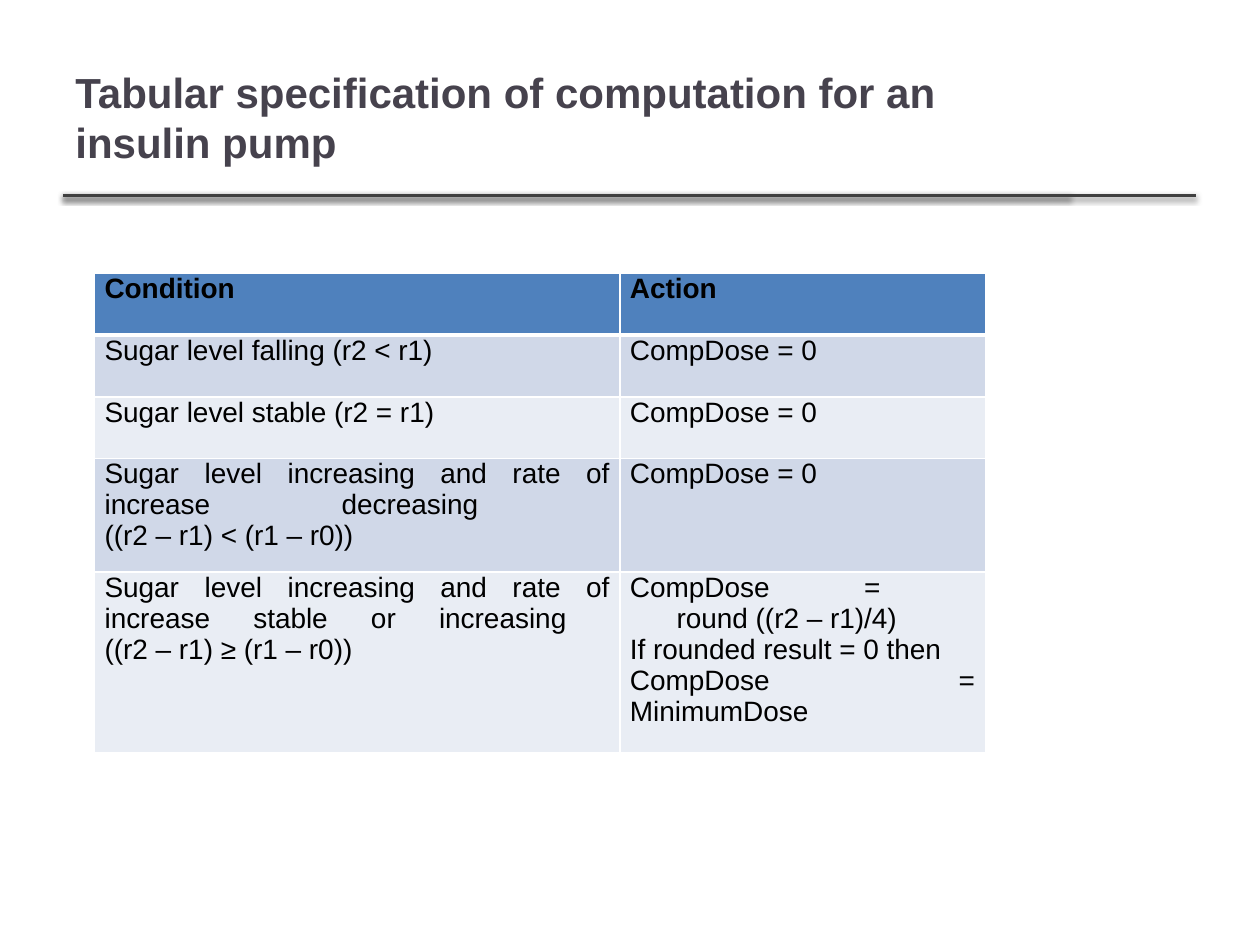
import pptx
import pptx.dml.color
import pptx.enum.shapes
import pptx.enum.text
import pptx.oxml
import pptx.oxml.ns
import pptx.util
from pptx.util import Inches

RGBColor = pptx.dml.color.RGBColor
TITLE_COLOR = RGBColor(0x46, 0x42, 0x4D)
RULE_COLOR = RGBColor(0x40, 0x40, 0x40)
BLACK = RGBColor(0x00, 0x00, 0x00)
WHITE = RGBColor(0xFF, 0xFF, 0xFF)
HEADER_FILL = RGBColor(0x4F, 0x81, 0xBD)
BAND_FILLS = (RGBColor(0xE9, 0xED, 0xF4), RGBColor(0xD0, 0xD8, 0xE8))

COLUMN_WIDTHS = (4.17, 2.9)
ROW_HEIGHTS = (0.49, 0.49, 0.49, 0.84, 1.33)
ROWS = (
    ("Condition", "Action"),
    ("Sugar level falling (r2 < r1)", "CompDose = 0"),
    ("Sugar level stable (r2 = r1)", "CompDose = 0"),
    ("Sugar level increasing and rate of increase decreasing \v"
     "((r2 – r1) < (r1 – r0))", "CompDose = 0"),
    ("Sugar level increasing and rate of increase stable or increasing \v"
     "((r2 – r1) ≥ (r1 – r0))",
     "CompDose = \vround ((r2 – r1)/4)\n"
     "If rounded result = 0 then \n"
     "CompDose = MinimumDose"),
)


class SlideBuilder:
    font_name = "Arial"

    def __init__(self, slide):
        self.slide = slide

    def format_runs(self, paragraph, size, color, bold):
        for run in paragraph.runs:
            run.font.name = self.font_name
            run.font.size = pptx.util.Pt(size)
            run.font.bold = bold
            run.font.color.rgb = color
        for line_break in paragraph._p.findall(pptx.oxml.ns.qn("a:br")):
            line_break.append(pptx.oxml.parse_xml(
                f'<a:rPr {pptx.oxml.ns.nsdecls("a")} sz="{size * 100}"/>'))

    def add_title(self, text, left, top, width, height):
        box = self.slide.shapes.add_textbox(
            Inches(left), Inches(top), Inches(width), Inches(height))
        frame = box.text_frame
        frame.word_wrap = True
        frame.vertical_anchor = pptx.enum.text.MSO_ANCHOR.MIDDLE
        frame.text = text
        self.format_runs(frame.paragraphs[0], 24, TITLE_COLOR, True)

    def add_rule(self, left, right, top):
        """Draw a horizontal line with a soft shadow below it."""
        line = self.slide.shapes.add_connector(
            pptx.enum.shapes.MSO_CONNECTOR.STRAIGHT,
            Inches(left), Inches(top), Inches(right), Inches(top))
        line.line.color.rgb = RULE_COLOR
        line.line.width = pptx.util.Pt(2)
        line._element.spPr.append(pptx.oxml.parse_xml(
            f'<a:effectLst {pptx.oxml.ns.nsdecls("a")}>'
            f'<a:outerShdw blurRad="{pptx.util.Pt(3.1)}" dist="{pptx.util.Pt(1.6)}" '
            'dir="5400000" rotWithShape="0"><a:srgbClr val="000000">'
            '<a:alpha val="38000"/></a:srgbClr></a:outerShdw></a:effectLst>'))

    def set_borders(self, cell, top_width, bottom_width):
        properties = cell._tc.get_or_add_tcPr()
        for side, width in zip("LRTB", (1, 1, top_width, bottom_width)):
            properties.append(pptx.oxml.parse_xml(
                f'<a:ln{side} {pptx.oxml.ns.nsdecls("a")} w="{pptx.util.Pt(width)}">'
                f'<a:solidFill><a:srgbClr val="{WHITE}"/></a:solidFill></a:ln{side}>'))

    def fill_cell(self, cell, text, row_index):
        is_header = row_index == 0
        self.set_borders(cell, 3 if row_index == 1 else 1, 3 if is_header else 1)
        cell.fill.solid()
        cell.fill.fore_color.rgb = HEADER_FILL if is_header else BAND_FILLS[row_index % 2]
        cell.margin_left = cell.margin_right = Inches(0.08)
        cell.margin_top = 0
        cell.margin_bottom = Inches(0.1)
        cell.text_frame.text = text
        for paragraph in cell.text_frame.paragraphs:
            paragraph.alignment = pptx.enum.text.PP_ALIGN.JUSTIFY
            self.format_runs(paragraph, 16, BLACK, is_header)

    def add_table(self, rows, left, top, column_widths, row_heights):
        table = self.slide.shapes.add_table(
            len(rows), len(column_widths), Inches(left), Inches(top),
            Inches(sum(column_widths)), Inches(sum(row_heights))).table
        for column, width in zip(table.columns, column_widths):
            column.width = Inches(width)
        for row_index, (texts, height) in enumerate(zip(rows, row_heights)):
            table.rows[row_index].height = Inches(height)
            for column_index, text in enumerate(texts):
                self.fill_cell(table.cell(row_index, column_index), text, row_index)
        return table

    def hang_indent(self, paragraph, indent):
        """Indent every line of the paragraph except the first."""
        properties = paragraph._p.get_or_add_pPr()
        properties.set("marL", str(Inches(indent)))
        properties.set("indent", str(-Inches(indent)))


def main():
    presentation = pptx.Presentation()
    presentation.slide_width = Inches(10)
    presentation.slide_height = Inches(7.5)
    builder = SlideBuilder(presentation.slides.add_slide(presentation.slide_layouts[6]))
    for right in (8.49, 9.49):
        builder.add_rule(0.5, right, 1.55)
    builder.add_title("Tabular specification of computation for an insulin pump",
                      0.5, 0.3, 7.98, 1.25)
    table = builder.add_table(ROWS, 0.75, 2.17, COLUMN_WIDTHS, ROW_HEIGHTS)
    dose_formula = table.cell(4, 1).text_frame.paragraphs[0]
    builder.hang_indent(dose_formula, 0.37)
    presentation.save("out.pptx")


if __name__ == "__main__":
    main()
